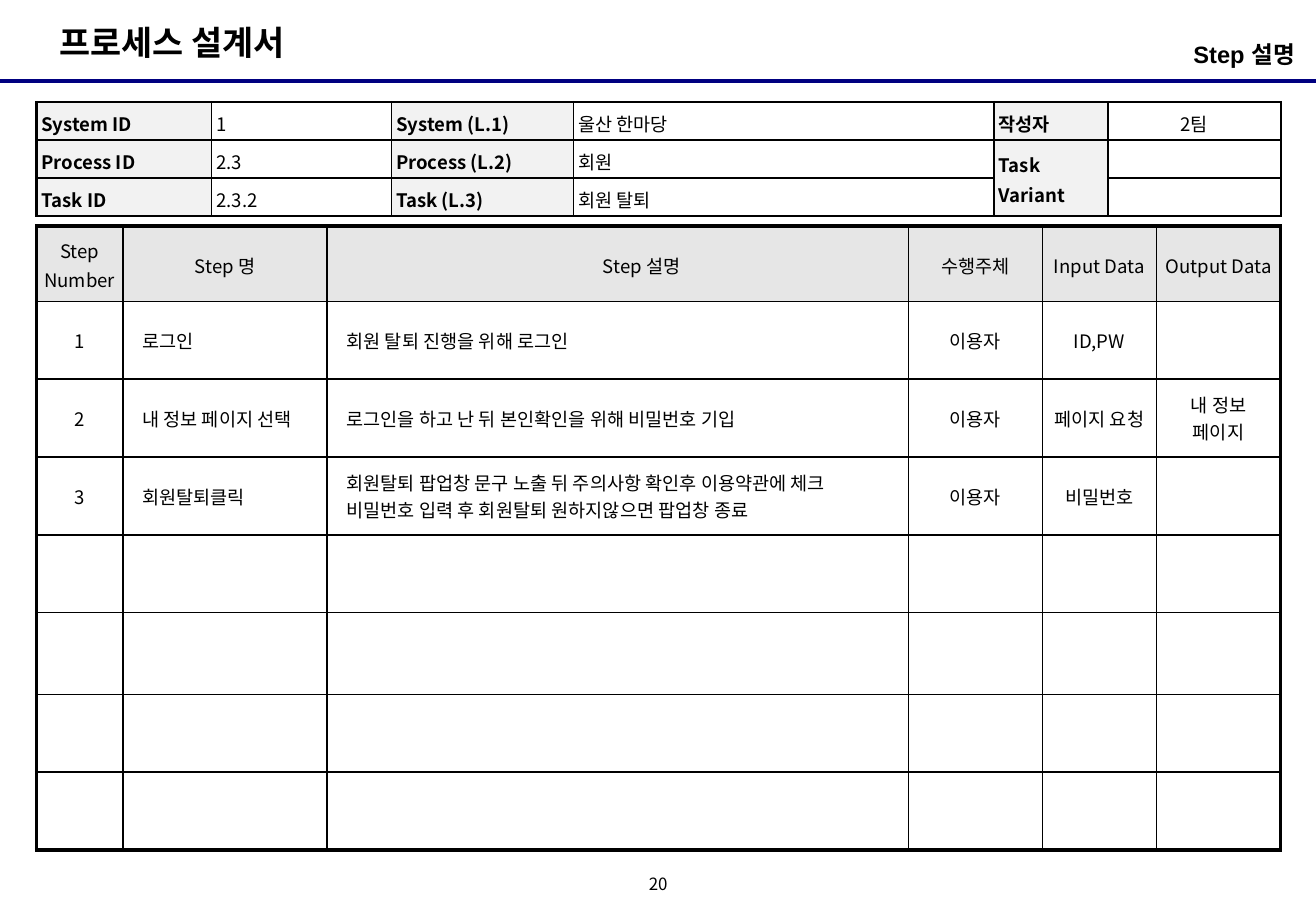
from collections import namedtuple
from lxml import etree
from pptx import Presentation
from pptx.dml.color import RGBColor
from pptx.enum.shapes import MSO_CONNECTOR
from pptx.enum.text import MSO_ANCHOR, PP_ALIGN
from pptx.oxml.ns import qn
from pptx.util import Inches, Pt

COLORS = {"ink": "000000", "rule": "000080", "label": "F2F2F2",
          "heading": "E6E6E6", "paper": "FFFFFF"}
FONT = "Noto Sans CJK KR"
Box = namedtuple("Box", "left top width height")

INFO_COLUMNS = [1.44, 1.48, 1.5, 3.46, 0.94, 1.42]
INFO_ROWS = [1, 1, 1]
INFO = [
    ["System ID", "1", "System (L.1)", "울산 한마당", "작성자", "2팀"],
    ["Process ID", "2.3", "Process (L.2)", "회원", "Task Variant", ""],
    ["Task ID", "2.3.2", "Task (L.3)", "회원 탈퇴", "", ""],
]
STEP_COLUMNS = [0.71, 1.68, 4.78, 1.1, 0.94, 1.02]
STEP_ROWS = [0.62, 0.64, 0.64, 0.64, 0.64, 0.67, 0.64, 0.64]
STEPS = [
    ["Step Number", "Step 명", "Step 설명", "수행주체", "Input Data", "Output Data"],
    ["1", "로그인", "회원 탈퇴 진행을 위해 로그인", "이용자", "ID,PW", ""],
    ["2", "내 정보 페이지 선택", "로그인을 하고 난 뒤 본인확인을 위해 비밀번호 기입",
     "이용자", "페이지 요청", "내 정보 페이지"],
    ["3", "회원탈퇴클릭",
     "회원탈퇴 팝업창 문구 노출 뒤 주의사항 확인후 이용약관에 체크\n"
     "비밀번호 입력 후 회원탈퇴 원하지않으면 팝업창 종료", "이용자", "비밀번호", ""],
] + [[""] * len(STEP_COLUMNS) for _ in range(4)]


def color(name):
    return RGBColor.from_string(COLORS[name])


def percent_box(outer, left, top, width, height):
    return Box(outer.left + int(outer.width * left / 100),
               outer.top + int(outer.height * top / 100),
               int(outer.width * width / 100), int(outer.height * height / 100))


def write(text_frame, text, size, bold=False, align=PP_ALIGN.LEFT, font=FONT,
          line_spacing=1.0, indent=0):
    text_frame.text = text
    for paragraph in text_frame.paragraphs:
        paragraph.alignment = align
        paragraph.line_spacing = line_spacing
        if indent:
            paragraph._p.get_or_add_pPr().set("marL", str(Inches(indent)))
        for run in paragraph.runs:
            run.font.name = font
            run.font.size = Pt(size)
            run.font.bold = bold
            run.font.color.rgb = color("ink")
            east_asian = etree.SubElement(run._r.get_or_add_rPr(), qn("a:ea"))
            east_asian.set("typeface", FONT)
        if not paragraph.runs:
            ending = etree.SubElement(paragraph._p, qn("a:endParaRPr"))
            ending.set("sz", str(size * 100))


def add_text(slide, box, text, size, margins, wrap=False, anchor=MSO_ANCHOR.TOP, **style):
    text_frame = slide.shapes.add_textbox(*box).text_frame
    text_frame.word_wrap = wrap
    text_frame.vertical_anchor = anchor
    set_margins(text_frame, *margins)
    write(text_frame, text, size, **style)


def set_margins(holder, horizontal, vertical):
    holder.margin_left = holder.margin_right = Inches(horizontal)
    holder.margin_top = holder.margin_bottom = Inches(vertical)


def set_borders(cell, widths):
    properties = cell._tc.get_or_add_tcPr()
    for side in "LRTB":
        line = etree.SubElement(properties, qn("a:ln" + side), w=str(Pt(widths[side])))
        fill = etree.SubElement(line, qn("a:solidFill"))
        etree.SubElement(fill, qn("a:srgbClr"), val=COLORS["ink"])


def edge_widths(cell, row, column, row_count, column_count, outer):
    last_row = row + cell.span_height - 1 if cell.is_merge_origin else row
    on_edge = {"L": column == 0, "R": column == column_count - 1,
               "T": row == 0, "B": last_row == row_count - 1}
    return {side: outer if edge else 1 for side, edge in on_edge.items()}


def add_grid(slide, box, columns, rows):
    table = slide.shapes.add_table(len(rows), len(columns), *box).table
    table.first_row = table.horz_banding = False
    for column, share in zip(table.columns, columns):
        column.width = int(box.width * share / sum(columns))
    for row, share in zip(table.rows, rows):
        row.height = int(box.height * share / sum(rows))
    return table


def fill_cell(cell, fill, margins, anchor):
    cell.fill.solid()
    cell.fill.fore_color.rgb = color(fill)
    set_margins(cell, *margins)
    cell.vertical_anchor = anchor


def add_header(slide, box):
    rule_top = percent_box(box, 0, 8.93, 0, 0).top
    rule = slide.shapes.add_connector(MSO_CONNECTOR.STRAIGHT, box.left, rule_top,
                                      box.left + box.width, rule_top)
    rule.line.color.rgb = color("rule")
    rule.line.width = Pt(2.25)
    etree.SubElement(rule._element.spPr, qn("a:effectLst"))
    add_text(slide, percent_box(box, 3.6, 1.73, 20.87, 5.87), "프로세스 설계서", 20,
             (0.1, 0.05), bold=True)
    add_text(slide, percent_box(box, 68.24, 3.73, 30.56, 5.2), "Step 설명 ", 14,
             (0, 0.05), wrap=True, bold=True, align=PP_ALIGN.RIGHT, font="Arial")


def add_info_table(slide, box):
    table = add_grid(slide, box, INFO_COLUMNS, INFO_ROWS)
    table.cell(1, 4).merge(table.cell(2, 4))
    for row, texts in enumerate(INFO):
        for column, text in enumerate(texts):
            cell = table.cell(row, column)
            is_label = column % 2 == 0
            widths = edge_widths(cell, row, column, len(INFO_ROWS), len(INFO_COLUMNS), 1.5)
            if column >= 4 and row < 2:
                widths["B" if row == 0 else "T"] = 1.5
            set_borders(cell, widths)
            fill_cell(cell, "label" if is_label else "paper", (0.04, 0.04),
                      MSO_ANCHOR.MIDDLE if column >= 4 else MSO_ANCHOR.TOP)
            write(cell.text_frame, text, 11, bold=is_label, line_spacing=1.1,
                  align=PP_ALIGN.CENTER if column == 5 else PP_ALIGN.LEFT)


def add_step_table(slide, box):
    table = add_grid(slide, box, STEP_COLUMNS, STEP_ROWS)
    for row, texts in enumerate(STEPS):
        for column, text in enumerate(texts):
            cell = table.cell(row, column)
            is_heading = row == 0
            is_prose = not is_heading and column in (1, 2)
            set_borders(cell, edge_widths(cell, row, column, len(STEP_ROWS),
                                          len(STEP_COLUMNS), 2.25))
            fill_cell(cell, "heading" if is_heading else "paper", (0.06, 0.04),
                      MSO_ANCHOR.MIDDLE)
            heading_indent = 0.39 if is_heading and column == 2 else 0
            write(cell.text_frame, text, 11, line_spacing=1.1 if is_heading else 1.0,
                  align=PP_ALIGN.LEFT if is_prose else PP_ALIGN.CENTER,
                  indent=0.1 if is_prose else heading_indent)


def add_page_number(slide, box):
    add_text(slide, box, "20", 10, (0, 0), anchor=MSO_ANCHOR.MIDDLE,
             align=PP_ALIGN.CENTER, line_spacing=0.8)


presentation = Presentation()
presentation.slide_width = Inches(10.83)
presentation.slide_height = Inches(7.5)
slide = presentation.slides.add_slide(presentation.slide_layouts[6])
page = Box(0, 0, presentation.slide_width, presentation.slide_height)
add_header(slide, page)
add_info_table(slide, percent_box(page, 2.77, 11.2, 94.55, 12.53))
add_step_table(slide, percent_box(page, 2.77, 24.8, 94.55, 68.53))
add_page_number(slide, percent_box(page, 48.48, 95.6, 3.05, 3.33))
presentation.save("out.pptx")
